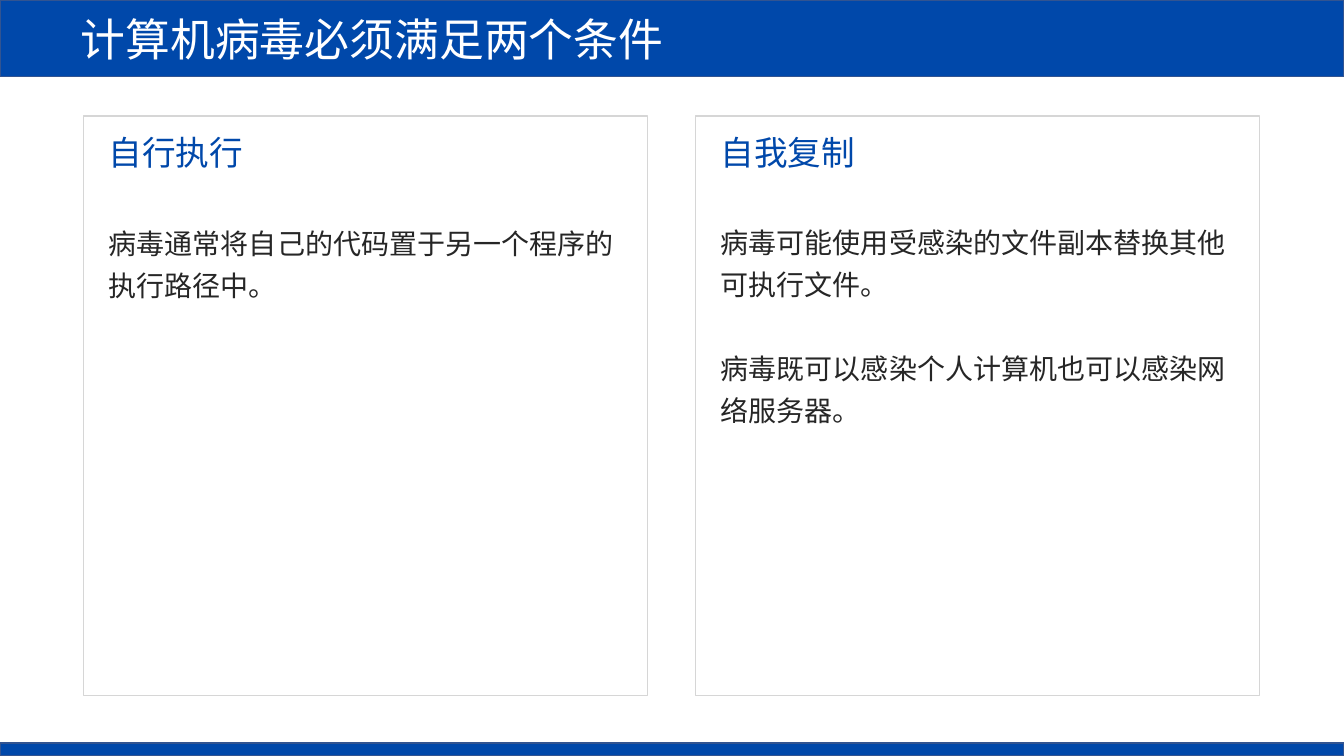
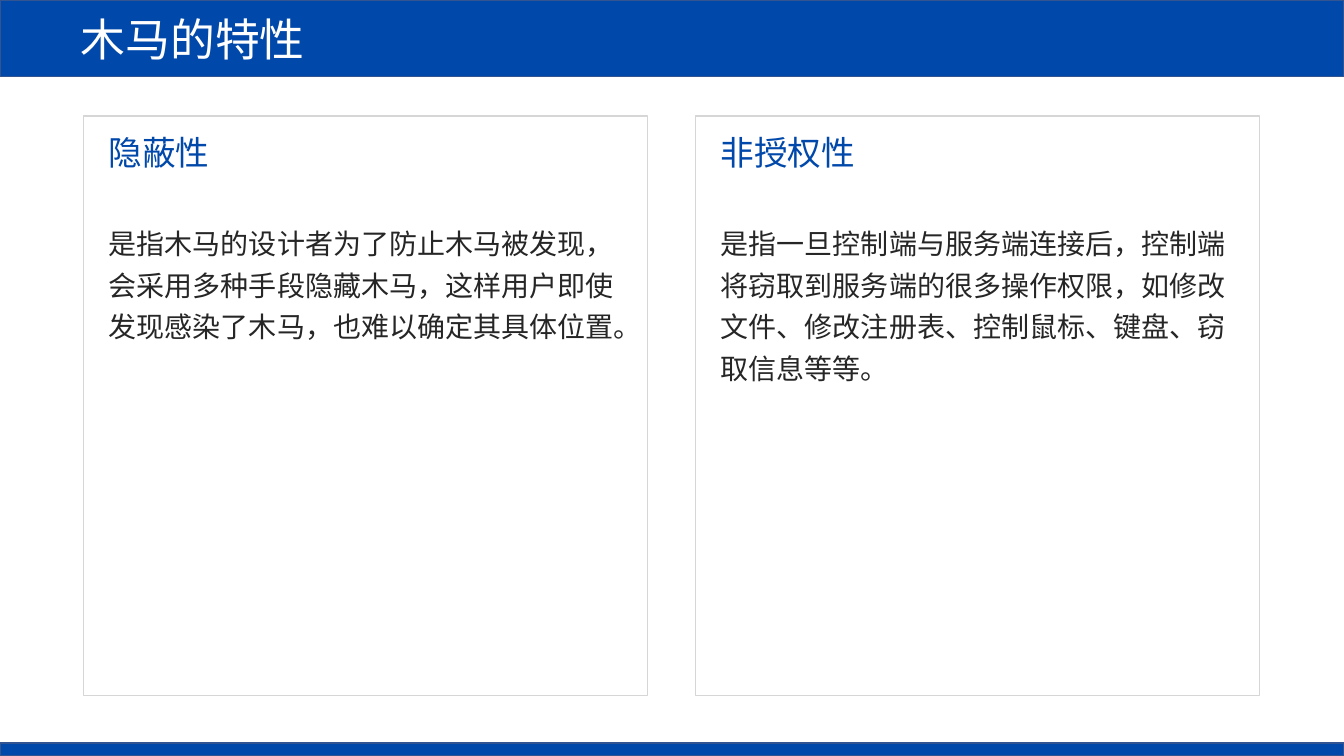
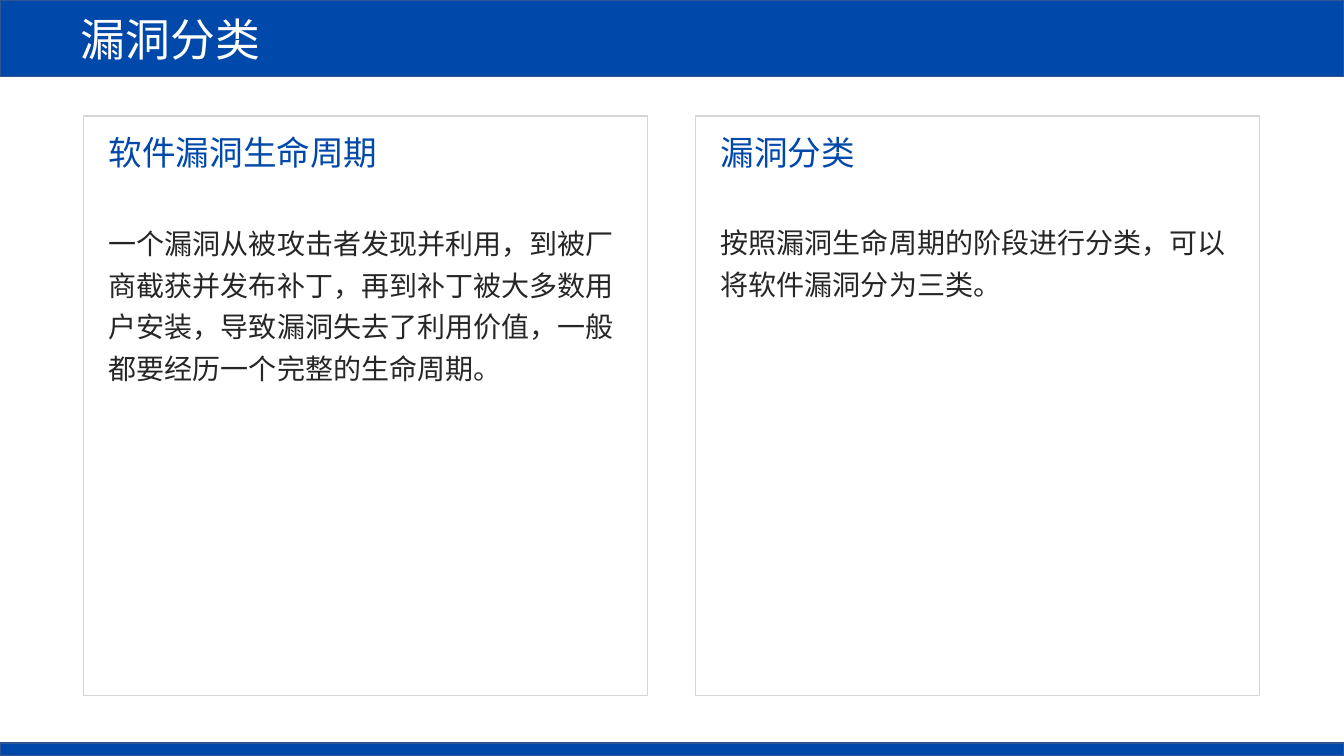
from lxml import etree
from pptx import Presentation
from pptx.dml.color import RGBColor
from pptx.enum import shapes, text
from pptx.oxml.ns import qn
from pptx.util import Inches, Pt

BLUE = RGBColor(0x00, 0x48, 0xAA)
EDGE = RGBColor(0x32, 0x54, 0x91)
GREY = RGBColor(0xD6, 0xD6, 0xD6)
INK = RGBColor(0x26, 0x26, 0x26)
WHITE = RGBColor(0xFF, 0xFF, 0xFF)
FONT = "Noto Sans CJK SC"
WIDTH, HEIGHT = 13.33, 7.5
CARD_LEFTS = (0.83, 6.9)
CARD_PAD = 0.15

SLIDES = [
    ("计算机病毒必须满足两个条件", [
        ("自行执行", 1.25, ["病毒通常将自己的代码置于另一个程序的执行路径中。"]),
        ("自我复制", 2.17, ["病毒可能使用受感染的文件副本替换其他可执行文件。",
                        "病毒既可以感染个人计算机也可以感染网络服务器。"]),
    ]),
    ("木马的特性", [
        ("隐蔽性", 1.32, ["是指木马的设计者为了防止木马被发现，会采用多种手段隐藏木马，"
                       "这样用户即使发现感染了木马，也难以确定其具体位置。"]),
        ("非授权性", 1.75, ["是指一旦控制端与服务端连接后，控制端将窃取到服务端的很多操作权限，"
                        "如修改文件、修改注册表、控制鼠标、键盘、窃取信息等等。"]),
    ]),
    ("漏洞分类", [
        ("软件漏洞生命周期", 1.75, ["一个漏洞从被攻击者发现并利用，到被厂商截获并发布补丁，"
                            "再到补丁被大多数用户安装，导致漏洞失去了利用价值，"
                            "一般都要经历一个完整的生命周期。"]),
        ("漏洞分类", 0.9, ["按照漏洞生命周期的阶段进行分类，可以将软件漏洞分为三类。"]),
    ]),
]


class Deck:
    """Builds slides that share one banded two-card style."""

    def __init__(self):
        self.prs = Presentation()
        self.prs.slide_width, self.prs.slide_height = Inches(WIDTH), Inches(HEIGHT)
        self.s = None

    def style(self, p, size, color):
        p.alignment = text.PP_ALIGN.LEFT
        p.font.name, p.font.size = FONT, Pt(size)
        p.font.color.rgb = color
        props = p._p.pPr.find(qn("a:defRPr"))
        etree.SubElement(props, qn("a:ea")).set("typeface", FONT)

    def paint(self, sp, fill, line):
        if fill is None:
            sp.fill.background()
        else:
            sp.fill.solid()
            sp.fill.fore_color.rgb = fill
        sp.line.color.rgb = line
        sp.line.width = Pt(1)

    def rect(self, x, y, w, h, fill, line):
        sp = self.s.shapes.add_shape(shapes.MSO_SHAPE.RECTANGLE,
                                     Inches(x), Inches(y), Inches(w), Inches(h))
        sp.shadow.inherit = False
        self.paint(sp, fill, line)

    def title(self, title):
        sp = self.s.shapes.title
        sp.left, sp.top = Inches(0), Inches(0)
        sp.width, sp.height = Inches(WIDTH), Inches(0.76)
        self.paint(sp, BLUE, EDGE)
        tf = sp.text_frame
        tf.text = title
        tf.auto_size = text.MSO_AUTO_SIZE.NONE
        tf.vertical_anchor = text.MSO_ANCHOR.MIDDLE
        tf.margin_left = Inches(0.8)
        self.style(tf.paragraphs[0], 32, WHITE)

    def text(self, x, y, w, h, lines, size, color, wrap=True, spacing=1):
        tf = self.s.shapes.add_textbox(Inches(x), Inches(y), Inches(w), Inches(h)).text_frame
        tf.word_wrap = wrap
        tf.auto_size = text.MSO_AUTO_SIZE.SHAPE_TO_FIT_TEXT
        for i, line in enumerate(lines):
            p = tf.add_paragraph() if i else tf.paragraphs[0]
            p.text = line
            p.line_spacing = spacing
            if i:
                p.space_before = Pt(30)
            self.style(p, size, color)

    def card(self, x, heading, body_height, body):
        self.rect(x, 1.15, 5.59, 5.75, None, GREY)
        left = x + CARD_PAD
        self.text(left, 1.26, 0.21 + len(heading) / 3, 0.5, [heading], 24, BLUE, wrap=False)
        self.text(left, 2.11, 5.28, body_height, body, 20, INK, spacing=1.25)

    def slide(self, title, cards):
        self.s = self.prs.slides.add_slide(self.prs.slide_layouts[5])
        self.title(title)
        self.rect(0, 7.37, WIDTH, 0.13, BLUE, EDGE)
        for x, card in zip(CARD_LEFTS, cards):
            self.card(x, *card)


def main():
    deck = Deck()
    for title, cards in SLIDES:
        deck.slide(title, cards)
    deck.prs.save("out.pptx")


if __name__ == "__main__":
    main()
